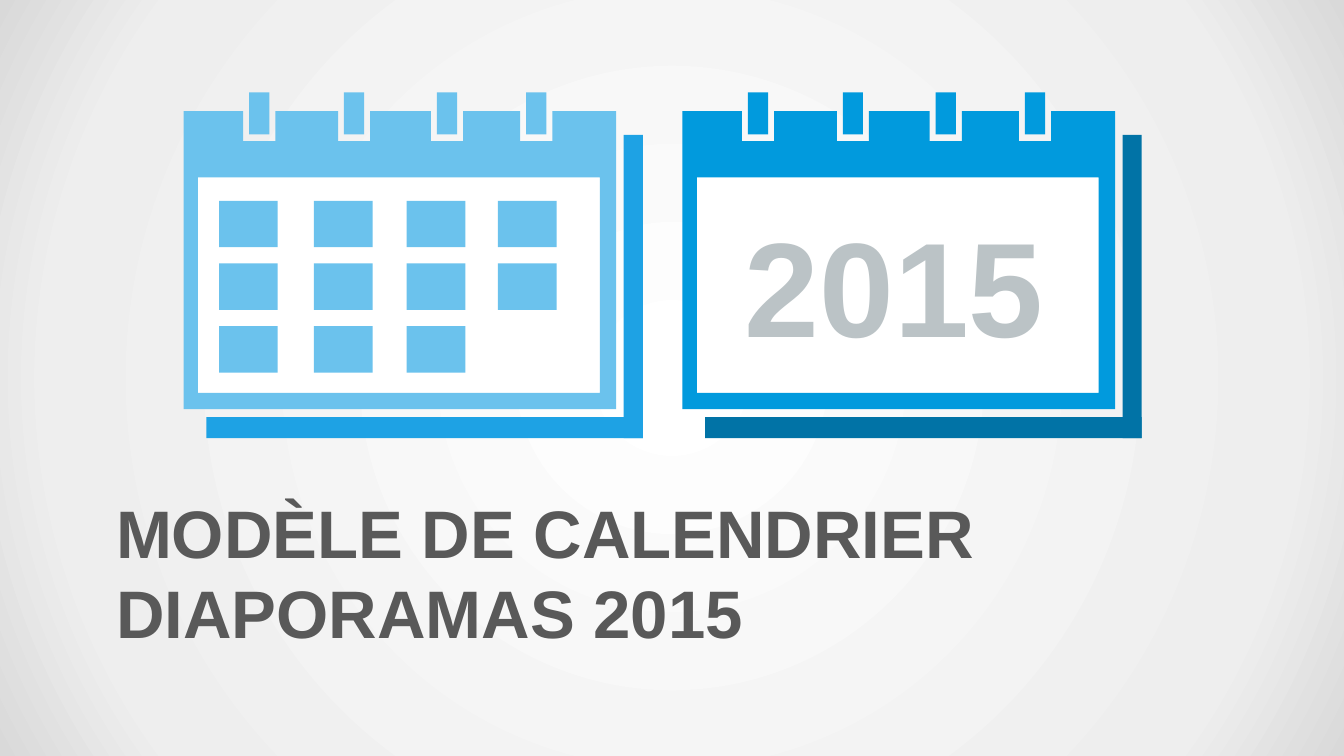
from pptx import Presentation
from pptx.dml.color import RGBColor
from pptx.enum.shapes import MSO_SHAPE as Form
from pptx.enum.text import MSO_ANCHOR as Anchor, PP_ALIGN as Align
from pptx.oxml import parse_xml
from pptx.oxml.ns import nsdecls
from pptx.util import Cm, Pt

INK = {
    "white": "FFFFFF", "mist": "EEEEEE", "edge": "D9D9D9",
    "title": "595959", "year": "BBC3C6",
    "sky": "6BC2ED", "sky_shade": "1EA2E4",
    "blue": "019ADD", "blue_shade": "0173A6",
}
FONT = "Arial"
# Calendar measures in cm, from the top left corner of each calendar
WIDE, TOP, LOW = 10.9, 0.47, 7.98
RINGS = (1.65, 4.04, 6.38, 8.63)
DAYS = (0.89, 3.28, 5.62, 7.92)
ROWS = (4, 4, 3)


def paint(shape, ink):
    shape.shadow.inherit = False
    shape.fill.solid()
    shape.fill.fore_color.rgb = RGBColor.from_string(INK[ink])
    shape.line.fill.background()


def block(slide, x, y, w, h, ink):
    paint(slide.shapes.add_shape(Form.RECTANGLE, Cm(x), Cm(y), Cm(w), Cm(h)), ink)


def write(box, text, size, ink):
    frame = box.text_frame
    frame.text = text
    font = frame.paragraphs[0].runs[0].font
    font.name, font.size, font.bold = FONT, Pt(size), True
    font.color.rgb = RGBColor.from_string(INK[ink])
    return frame


def backdrop(slide):
    stops = "".join(
        f'<a:gs pos="{pos * 1000}"><a:srgbClr val="{INK[ink]}"/></a:gs>'
        for pos, ink in ((0, "white"), (81, "mist"), (100, "edge")))
    slide.element.cSld.insert(0, parse_xml(
        f'<p:bg {nsdecls("p", "a")}><p:bgPr><a:gradFill><a:gsLst>{stops}</a:gsLst>'
        '<a:path path="circle"><a:fillToRect l="50000" t="50000" r="50000" b="50000"/>'
        '</a:path></a:gradFill><a:effectLst/></p:bgPr></p:bg>'))


def frame(slide, x, y, ink):
    """Draw the calendar's border, open in the middle and notched at the rings."""
    window = [(0.36, 2.14), (0.36, 7.57), (10.49, 7.57), (10.49, 2.14)]
    rim = [(0, TOP)]
    for ring in RINGS:
        left, right = ring - 0.15, ring + 0.66
        rim += [(left, TOP), (left, 1.23), (right, 1.23), (right, TOP)]
    rim += [(WIDE, TOP), (WIDE, LOW), (0, LOW)]
    inner, outer = ([(Cm(x + a), Cm(y + b)) for a, b in line] for line in (window, rim))
    path = slide.shapes.build_freeform(*inner[0])
    path.add_line_segments(inner[1:], close=True)
    path.move_to(*outer[0])
    path.add_line_segments(outer[1:], close=True)
    paint(path.convert_to_shape(), ink)


def calendar(slide, x, y, ink):
    block(slide, x + 0.15, y + 2.11, 10.57, 5.72, "white")
    frame(slide, x, y, ink)
    for ring in RINGS:
        block(slide, x + ring, y, 0.51, 1.06, ink)
    block(slide, x + 0.57, y + 8.18, 11, 0.53, ink + "_shade")
    block(slide, x + 11.09, y + 1.07, 0.48, 7.64, ink + "_shade")


def days(slide, x, y, ink):
    for row, count in enumerate(ROWS):
        for day in DAYS[:count]:
            block(slide, x + day, y + 2.73 + row * 1.58, 1.48, 1.17, ink)


def year(slide, x, y, text):
    box = slide.shapes.add_textbox(Cm(x + 1.27), Cm(y + 2.67), Cm(8.13), Cm(4.37))
    area = write(box, text, 96, "year")
    area.word_wrap = False
    area.paragraphs[0].alignment = Align.CENTER


def heading(slide, x, y, w, h, text):
    box = slide.shapes.title
    box.left, box.top, box.width, box.height = Cm(x), Cm(y), Cm(w), Cm(h)
    area = write(box, text, 48, "title")
    area.word_wrap = True
    area.vertical_anchor = Anchor.TOP
    line = area.paragraphs[0]
    line.alignment = Align.LEFT
    line.line_spacing = Pt(57)


def main():
    deck = Presentation()
    deck.slide_width, deck.slide_height = Cm(33.87), Cm(19.05)
    slide = deck.slides.add_slide(deck.slide_layouts[5])
    backdrop(slide)
    heading(slide, 2.67, 12.27, 28.78, 3.78, "MODÈLE DE CALENDRIER DIAPORAMAS 2015")
    left, right, top = 4.63, 17.2, 2.33
    calendar(slide, left, top, "sky")
    days(slide, left, top, "sky")
    calendar(slide, right, top, "blue")
    year(slide, right, top, "2015")
    deck.save("out.pptx")


if __name__ == "__main__":
    main()
